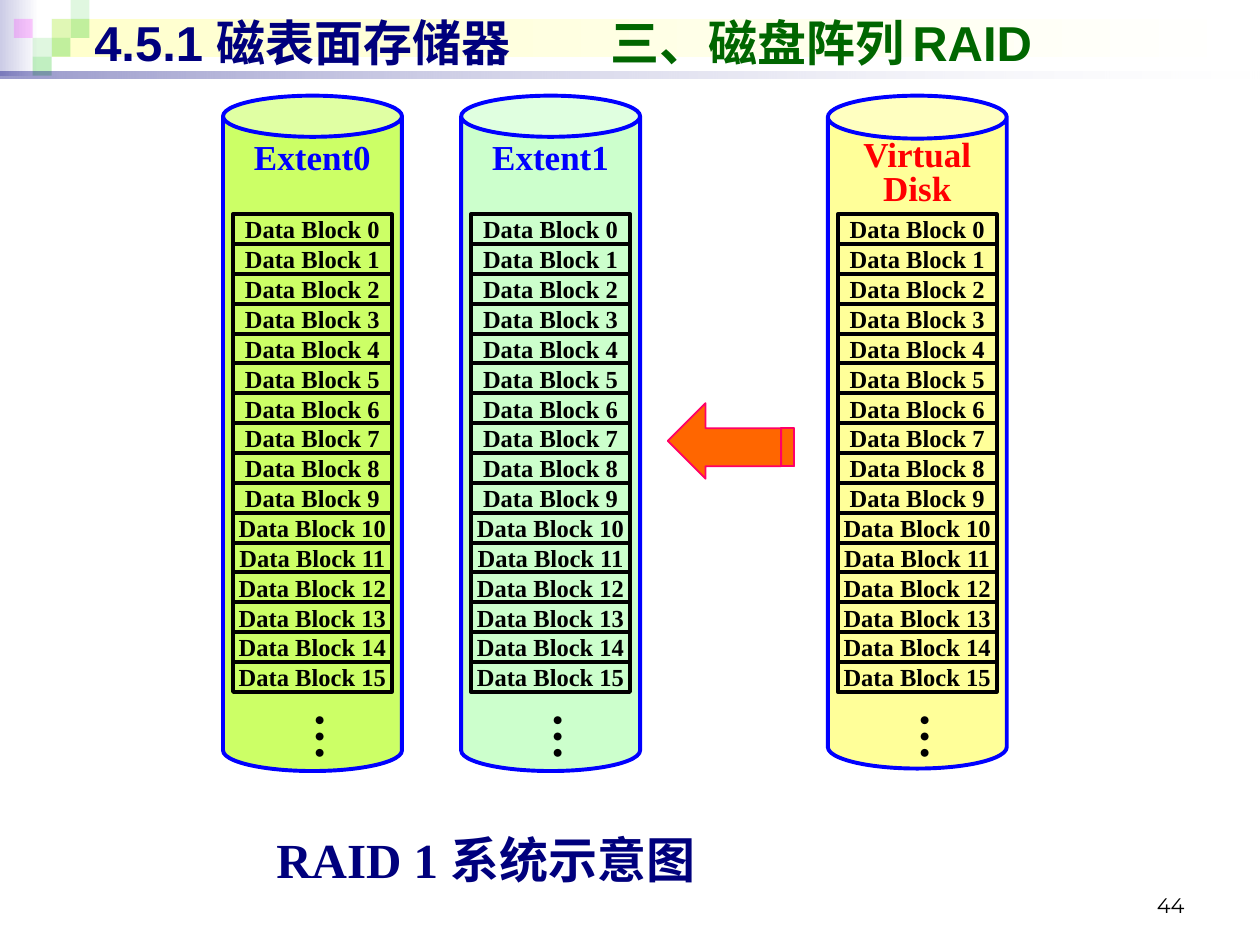
from lxml.etree import SubElement
from pptx import Presentation
from pptx.dml.color import RGBColor
from pptx.enum.shapes import MSO_SHAPE
from pptx.enum.text import MSO_ANCHOR, PP_ALIGN
from pptx.oxml.ns import qn
from pptx.util import Inches, Pt

CELL = 0.1  # the grid has 100 columns and 75 rows of square cells
SERIF, SANS, CHINESE = "Times New Roman", "Arial", "Noto Sans CJK SC"
NAVY, BLUE, BLACK = "00007D", "0000FF", "000000"
BLOCKS = 16
BLOCK_HEIGHT = 2.37


def grid(*cells):
    return [Inches(cell * CELL) for cell in cells]


def color(value):
    return RGBColor.from_string(value)


def set_alpha(shape, *percents):
    """Give each colour of the fill, in order, its opacity."""
    for item, percent in zip(shape.element.spPr.iter(qn("a:srgbClr")), percents):
        SubElement(item, qn("a:alpha"), val=str(percent * 1000))


def write(shape, spans, size=28, font=SERIF, ink=BLACK, bold=True,
          align=PP_ALIGN.CENTER, anchor=MSO_ANCHOR.TOP, wrap=True,
          spacing=None, tab=None, vertical=False):
    """Write one paragraph; spans is a text or a list of (text, ink, size)."""
    frame = shape.text_frame
    frame.word_wrap = wrap
    frame.vertical_anchor = anchor
    if vertical:
        next(shape.element.iter(qn("a:bodyPr"))).set("vert", "eaVert")
    para = frame.paragraphs[0]
    para.alignment = align
    if spacing:
        para.line_spacing = spacing
    if tab:
        stops = SubElement(para._p.get_or_add_pPr(), qn("a:tabLst"))
        SubElement(stops, qn("a:tab"), pos=str(grid(tab)[0]), algn="l")
    if isinstance(spans, str):
        spans = [(spans, ink, size)]
    for text, span_ink, span_size in spans:
        span = para.add_run()
        span.text = text
        span.font.name = font
        span.font.size = Pt(span_size)
        span.font.bold = bold
        span.font.color.rgb = color(span_ink)
        SubElement(span._r.get_or_add_rPr(), qn("a:ea"), typeface=CHINESE)


class Slide:
    def __init__(self, deck):
        self.page = deck.slides.add_slide(deck.slide_layouts[6])

    def finish(self, shape, fill=None, line=None, width=2.25):
        shape.shadow.inherit = False
        if fill:
            shape.fill.solid()
            shape.fill.fore_color.rgb = color(fill)
        else:
            shape.fill.background()
        if line:
            shape.line.color.rgb = color(line)
            shape.line.width = Pt(width)
        else:
            shape.line.fill.background()
        return shape

    def shape(self, place, kind=MSO_SHAPE.RECTANGLE, **style):
        return self.finish(self.page.shapes.add_shape(kind, *grid(*place)), **style)

    def gradient(self, place, start, end, *alphas):
        band = self.shape(place)
        band.fill.gradient()
        band.fill.gradient_angle = 0
        for stop, value in zip(band.fill.gradient_stops, (start, end)):
            stop.color.rgb = color(value)
        set_alpha(band, *alphas)

    def tile(self, column, row, fill, alpha):
        side = 1.5
        square = self.shape((1.1 + column * side, row * side, side, side), fill=fill)
        set_alpha(square, alpha)

    def text(self, place, spans, **style):
        write(self.page.shapes.add_textbox(*grid(*place)), spans, **style)

    def outline(self, contours, **style):
        builder = None
        for first, *rest in contours:
            if builder is None:
                builder = self.page.shapes.build_freeform(*first, scale=Inches(CELL))
            else:
                builder.move_to(*first)
            builder.add_line_segments(rest, close=True)
        self.finish(builder.convert_to_shape(), **style)

    def disk(self, left, fill, height, curve, name, name_top, name_height, **name_style):
        can = self.shape((left, 7.6, 14.2, height), MSO_SHAPE.CAN, fill=fill, line=BLUE)
        can.adjustments[0] = curve
        inner, width = left + 0.8, 12.6
        for index in range(BLOCKS):
            block = self.shape((inner, 17 + index * BLOCK_HEIGHT, width, BLOCK_HEIGHT),
                               line=BLACK)
            write(block, f"Data Block {index}", size=14, wrap=False,
                  anchor=MSO_ANCHOR.MIDDLE)
        self.text((left + 3.9, 55.6, 6.7, 5.5), "…", font=CHINESE, vertical=True)
        self.text((inner, name_top, width, name_height), name, size=20, **name_style)


def main():
    deck = Presentation()
    deck.slide_width, deck.slide_height = grid(100, 75)
    slide = Slide(deck)

    # Header decoration
    slide.gradient((0, 0, 3.1, 6), "CCCCE6", "FFFFFF")
    slide.gradient((4.1, 1.5, 95.5, 3), "FFFFCC", "FFFFFF")
    for column, row, alpha in ((2, 1, 15), (3, 0, 15), (3, 1, 30),
                               (1, 2, 15), (2, 2, 30), (1, 3, 30)):
        slide.tile(column, row, "33CC33", alpha)
    slide.tile(0, 1, "FF00FF", 20)
    slide.gradient((0, 5.7, 100, 0.5), NAVY, "FFFFFF", 40, 10)

    # Title and page number
    green = "006600"
    slide.text((6.5, 0.5, 90, 5.5),
               [("4.5.1 磁表面存储器\t", NAVY, 28), ("三、磁盘阵列", green, 28),
                (" ", green, 20), ("RAID", green, 28)],
               font=SANS, align=PP_ALIGN.LEFT, tab=41)
    slide.text((71.7, 68.3, 23.3, 5), "44", size=12, font="Montserrat", bold=False,
               align=PP_ALIGN.RIGHT, anchor=MSO_ANCHOR.BOTTOM)

    # Two mirrored disks and the virtual disk
    for left, fill, name in ((17.7, "CCFF66", "Extent0"), (36.6, "CCFFCC", "Extent1")):
        slide.disk(left, fill, 53.6, 0.23, name, 10.3, 4.3, ink=BLUE)
    slide.disk(65.7, "FFFF99", 53.4, 0.24, "Virtual Disk", 10.7, 6.4,
               ink="FF0000", spacing=0.8)

    # Striped arrow
    top, bottom = 33.6, 36.7
    head = [(55.7, 32), (55.7, top), (61.8, top), (61.8, bottom),
            (55.7, bottom), (55.7, 38.3), (53.1, 35.1)]
    stripes = [[(right, top), (right, bottom), (left, bottom), (left, top)]
               for left, right in ((62.1, 62.7), (63.1, 63.4))]
    slide.outline([head, *stripes], fill="FF6600", line="FF0066", width=1)

    # Caption
    slide.text((4.3, 65.9, 68.5, 4.7), "RAID 1 系统示意图", ink=NAVY, spacing=0.9)

    deck.save("out.pptx")


if __name__ == "__main__":
    main()
